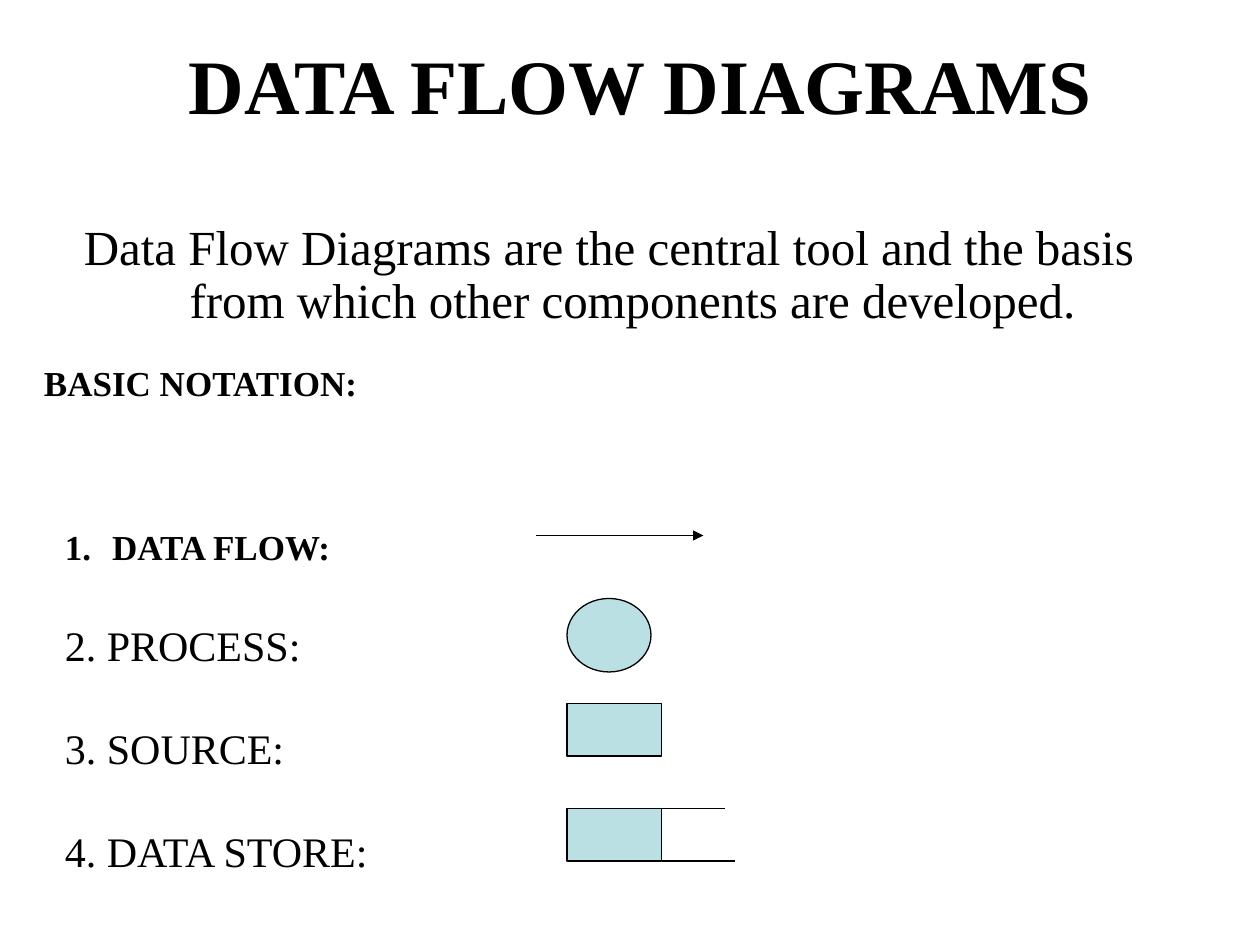
from lxml import etree
from pptx import Presentation
from pptx.dml.color import RGBColor
from pptx.enum.shapes import MSO_CONNECTOR, MSO_SHAPE
from pptx.enum.text import MSO_ANCHOR, PP_ALIGN
from pptx.oxml.ns import qn
from pptx.util import Pt

PX = 7620
BLACK = RGBColor(0x00, 0x00, 0x00)
PALE_BLUE = RGBColor(0xBB, 0xE0, 0xE3)
FONT = "Times New Roman"
STRAIGHT = MSO_CONNECTOR.STRAIGHT
OVAL, RECT = MSO_SHAPE.OVAL, MSO_SHAPE.RECTANGLE
TOP, MIDDLE = MSO_ANCHOR.TOP, MSO_ANCHOR.MIDDLE
LEFT, CENTER = PP_ALIGN.LEFT, PP_ALIGN.CENTER
HANGING = 45

TITLE = {"size": Pt(44), "bold": True}
BODY = {"size": Pt(28), "bold": False}
HEADING = {"size": Pt(20), "bold": True}
ITEM = {"size": Pt(24), "bold": False}


def px(*values):
    return [v * PX for v in values]


def set_attrs(obj, values):
    for name, value in values.items():
        setattr(obj, name, value)


def add_text_box(slide, box, anchor=TOP, margin_top=6):
    tf = slide.shapes.add_textbox(*px(*box)).text_frame
    set_attrs(tf, {"word_wrap": True, "vertical_anchor": anchor,
                   "margin_top": margin_top * PX})
    return tf


def write(p, text, font, hanging=False, **layout):
    r = p.add_run()
    r.text = text
    set_attrs(r.font, {"name": FONT, **font})
    r.font.color.rgb = BLACK
    set_attrs(p, layout)
    if hanging:
        pPr = p._p.get_or_add_pPr()
        pPr.set("marL", str(HANGING * PX))
        pPr.set("indent", str(-HANGING * PX))


def number(p):
    pPr = p._p.get_or_add_pPr()
    etree.SubElement(pPr, qn("a:buFont"), typeface=FONT)
    etree.SubElement(pPr, qn("a:buAutoNum"), type="arabicPeriod")


def add_line(slide, x1, y1, x2, y2, arrow=False):
    line = slide.shapes.add_connector(STRAIGHT, *px(x1, y1, x2, y2))
    line.line.color.rgb = BLACK
    line.line.width = Pt(0.75)
    if arrow:
        etree.SubElement(line.line._get_or_add_ln(), qn("a:tailEnd"), type="triangle")
    etree.SubElement(line._element.spPr, qn("a:effectLst"))


def add_symbol(slide, kind, *box):
    sp = slide.shapes.add_shape(kind, *px(*box))
    sp.shadow.inherit = False
    sp.fill.solid()
    sp.fill.fore_color.rgb = PALE_BLUE
    sp.line.color.rgb = BLACK
    sp.line.width = Pt(0.75)


def add_notation_list(slide):
    tf = add_text_box(slide, (50, 490, 1020, 341), margin_top=10)
    p = tf.paragraphs[0]
    write(p, "DATA FLOW:", HEADING, hanging=True)
    number(p)
    for text in ("2. PROCESS:", "3. SOURCE:", "4. DATA STORE:"):
        write(tf.add_paragraph(), text, ITEM, hanging=True, space_before=Pt(30))


def main():
    prs = Presentation()
    prs.slide_width, prs.slide_height = px(1200, 900)
    slide = prs.slides.add_slide(prs.slide_layouts[6])

    tf = add_text_box(slide, (70, 30, 1080, 100), MIDDLE)
    write(tf.paragraphs[0], "DATA FLOW DIAGRAMS", TITLE, alignment=CENTER)

    tf = add_text_box(slide, (40, 140, 1080, 190), margin_top=73)
    write(tf.paragraphs[0],
          "Data Flow Diagrams are the central tool and the basis "
          "from which other components are developed.",
          BODY, hanging=True, alignment=CENTER, line_spacing=0.9)

    tf = add_text_box(slide, (30, 338, 328, 53), MIDDLE)
    write(tf.paragraphs[0], "BASIC NOTATION:", HEADING, alignment=LEFT)

    add_notation_list(slide)

    add_line(slide, 510, 510, 670, 510, arrow=True)
    add_symbol(slide, OVAL, 540, 570, 80, 70)
    for y in (670, 770):
        add_symbol(slide, RECT, 540, y, 90, 50)
    for x, y in ((690, 770), (700, 820)):
        add_line(slide, 630, y, x, y)

    prs.save("out.pptx")


if __name__ == "__main__":
    main()
